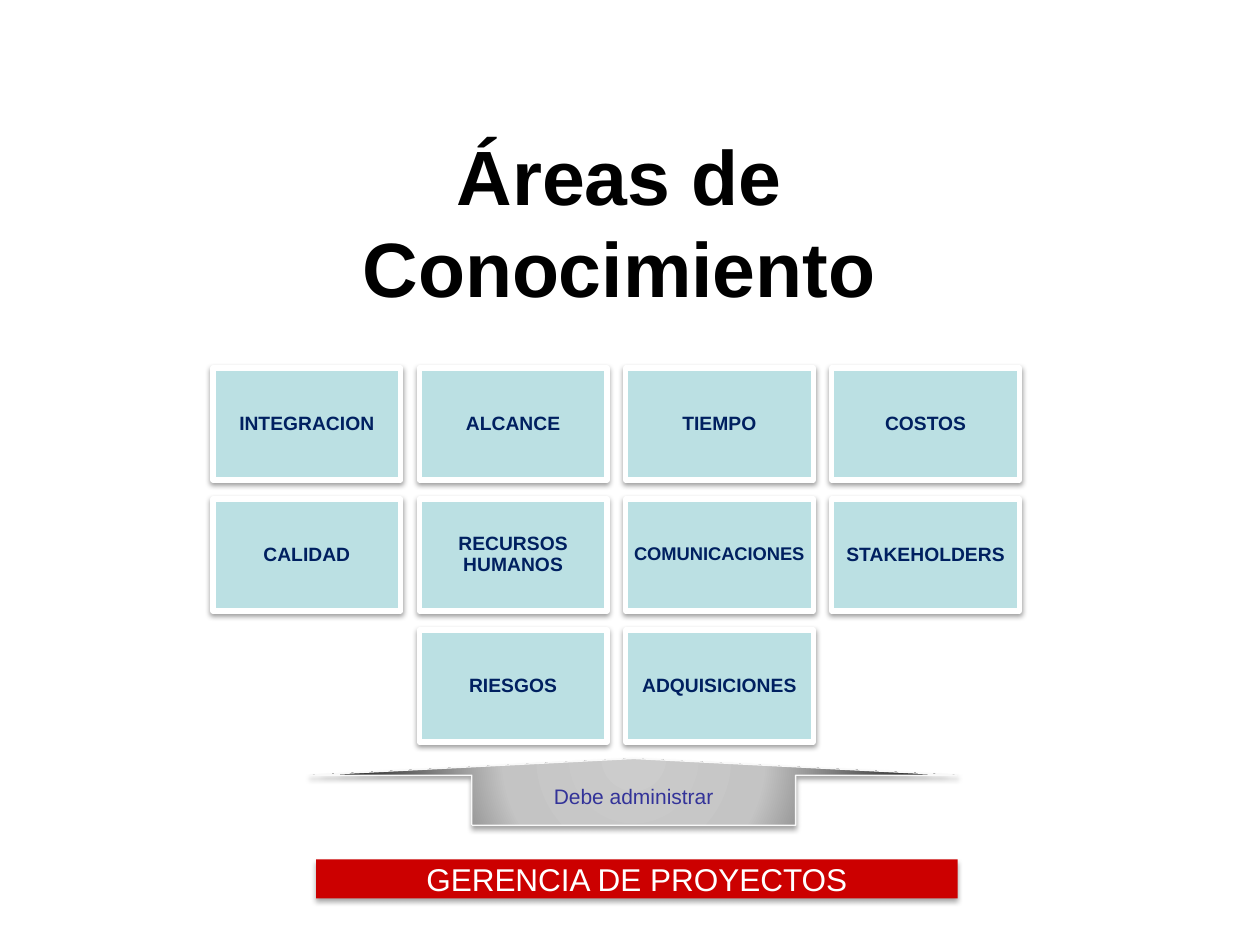
from lxml import etree
from pptx import Presentation
from pptx.dml.color import RGBColor
from pptx.enum import shapes, text
from pptx.oxml import parse_xml
from pptx.oxml.ns import nsdecls, qn
from pptx.util import Inches, Pt

FONT = "Arial"
COLORS = {
    "title": "000000",
    "card": "BBE0E3",
    "card_text": "002060",
    "white": "FFFFFF",
    "banner": "CC0000",
    "arrow_line": "F9F9F9",
    "arrow_text": "333399",
    "shadow": "000000",
}
ARROW_STOPS = [(0, "CCCCCC"), (40, "C4C4C4"), (100, "000000")]

# Knowledge areas by row: first column, then names
AREA_ROWS = [
    (0, ["INTEGRACION", "ALCANCE", "TIEMPO", "COSTOS"]),
    (0, ["CALIDAD", "RECURSOS HUMANOS", "COMUNICACIONES", "STAKEHOLDERS"]),
    (1, ["RIESGOS", "ADQUISICIONES"]),
]
GRID_LEFT, GRID_TOP = 1.69, 2.92
COLUMN_STEP, ROW_STEP = 1.637, 1.04
CARD_WIDTH, CARD_HEIGHT = 1.49, 0.89


def rgb(name):
    return RGBColor.from_string(COLORS[name])


def write_text(shape, words, size, color, bold=False, insets=(0.08, 0.04), wrap=False):
    frame = shape.text_frame
    frame.word_wrap = wrap
    frame.vertical_anchor = text.MSO_ANCHOR.MIDDLE
    frame.margin_left = frame.margin_right = Inches(insets[0])
    frame.margin_top = frame.margin_bottom = Inches(insets[1])
    paragraph = frame.paragraphs[0]
    paragraph.alignment = text.PP_ALIGN.CENTER
    run = paragraph.add_run()
    run.text = words
    run.font.name = FONT
    run.font.size = Pt(size)
    run.font.bold = bold
    run.font.color.rgb = rgb(color)
    return paragraph


def add_shadow(shape, opacity, distance):
    shape.shadow.inherit = False
    effects = shape._element.spPr.find(qn("a:effectLst"))
    shadow = etree.SubElement(
        effects, qn("a:outerShdw"), blurRad=str(Pt(3.1)), dist=str(Pt(distance)),
        dir="5400000", algn="ctr", rotWithShape="0")
    color = etree.SubElement(shadow, qn("a:srgbClr"), val=COLORS["shadow"])
    etree.SubElement(color, qn("a:alpha"), val=str(opacity * 1000))


def add_block(slide, kind, box, fill=None, line=None, line_width=0):
    shape = slide.shapes.add_shape(kind, *map(Inches, box))
    if fill:
        shape.fill.solid()
        shape.fill.fore_color.rgb = rgb(fill)
    if line:
        shape.line.color.rgb = rgb(line)
        shape.line.width = Pt(line_width)
    else:
        shape.line.fill.background()
    return shape


def fill_radial(shape, stops):
    shape.fill.gradient()
    plain = shape._element.spPr.find(qn("a:gradFill"))
    stop_xml = "".join(
        f'<a:gs pos="{position * 1000}"><a:srgbClr val="{color}"/></a:gs>'
        for position, color in stops)
    radial = parse_xml(
        f'<a:gradFill {nsdecls("a")} rotWithShape="1"><a:gsLst>{stop_xml}</a:gsLst>'
        '<a:path path="circle"><a:fillToRect l="50000" t="-80000" r="50000" b="180000"/>'
        '</a:path></a:gradFill>')
    plain.getparent().replace(plain, radial)


def add_title(slide):
    title = slide.shapes.title
    title.left, title.top = Inches(1.52), Inches(1.37)
    title.width, title.height = Inches(6.79), Inches(0.76)
    write_text(title, "Áreas de Conocimiento", 44, "title", bold=True,
               insets=(0.1, 0.05), wrap=True)
    title.text_frame.auto_size = text.MSO_AUTO_SIZE.NONE


def add_banner(slide):
    banner = add_block(slide, shapes.MSO_SHAPE.RECTANGLE, (2.51, 6.82, 5.09, 0.31), "banner")
    add_shadow(banner, 35, 1.8)
    paragraph = write_text(banner, "GERENCIA DE PROYECTOS", 18, "white")
    paragraph.space_before = Pt(3.6)


def add_arrow(slide):
    arrow = add_block(slide, shapes.MSO_SHAPE.UP_ARROW, (2.46, 6.02, 5.14, 0.53),
                      line="arrow_line", line_width=0.75)
    arrow.adjustments[0] = 0.5
    arrow.adjustments[1] = 0.25
    fill_radial(arrow, ARROW_STOPS)
    add_shadow(arrow, 35, 1.8)
    paragraph = write_text(arrow, "Debe administrar", 12, "arrow_text")
    paragraph.space_before = Pt(2.4)


def add_card(slide, column, row, name):
    box = (GRID_LEFT + column * COLUMN_STEP, GRID_TOP + row * ROW_STEP,
           CARD_WIDTH, CARD_HEIGHT)
    card = add_block(slide, shapes.MSO_SHAPE.RECTANGLE, box, "card", "white", 3)
    add_shadow(card, 38, 1.6)
    size = 10.5 if name == "COMUNICACIONES" else 11
    paragraph = write_text(card, name, size, "card_text", bold=True,
                           insets=(0.05, 0.05), wrap=True)
    paragraph.line_spacing = 0.9


def main():
    presentation = Presentation()
    presentation.slide_width, presentation.slide_height = Inches(10), Inches(7.5)
    slide = presentation.slides.add_slide(presentation.slide_layouts[5])

    add_title(slide)
    add_banner(slide)
    add_arrow(slide)

    # Grid of knowledge areas
    for row, (first_column, names) in enumerate(AREA_ROWS):
        for column, name in enumerate(names, first_column):
            add_card(slide, column, row, name)

    presentation.save("out.pptx")


if __name__ == "__main__":
    main()
